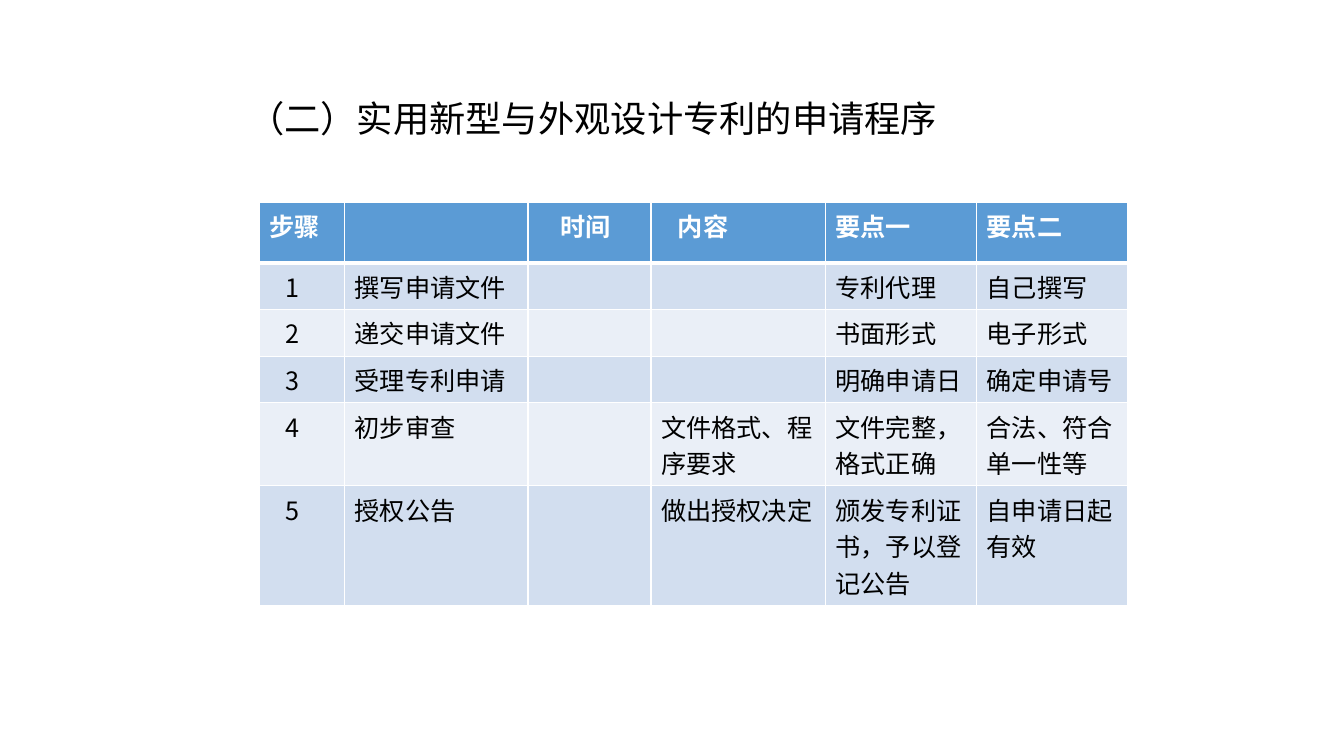
import pptx
import pptx.util
import pptx.dml.color
import pptx.enum.text
import pptx.oxml
import pptx.oxml.ns
from lxml import etree

Pt = pptx.util.Pt

# Content
TITLE = "（二）实用新型与外观设计专利的申请程序"
HEADER = ["步骤", "", "时间", "内容", "要点一", "要点二"]
STEPS = [
    ["1", "撰写申请文件", "", "", "专利代理", "自己撰写"],
    ["2", "递交申请文件", "", "", "书面形式", "电子形式"],
    ["3", "受理专利申请", "", "", "明确申请日", "确定申请号"],
    ["4", "初步审查", "", "文件格式、程序要求", "文件完整，格式正确", "合法、符合单一性等"],
    ["5", "授权公告", "", "做出授权决定", "颁发专利证书，予以登记公告", "自申请日起有效"],
]

# Layout and style, lengths in points
COLUMN_WIDTHS = [61.2, 131, 87.8, 124.6, 108, 108]
ROW_HEIGHTS = [43.2, 28.8, 32.4, 28.8, 50.4, 72]
HEADER_INDENTS = [0, 0, 16, 12, 0, 0]
STEP_INDENTS = [12, 0, 0, 0, 0, 0]
CELL_MARGIN = 7.2
FONT = "Noto Sans CJK SC"
HEADER_FILL = "5B9BD5"
BAND_FILLS = ["D2DEEF", "EAEFF7"]
WHITE, BLACK = "FFFFFF", "000000"


def rgb(value):
    return pptx.dml.color.RGBColor.from_string(value)


def add_span(para, text, size, colour, bold=False):
    span = para.add_run()
    span.text = text
    span.font.size = Pt(size)
    span.font.bold = bold
    span.font.color.rgb = rgb(colour)
    span.font.name = FONT
    east_asian = etree.SubElement(span.font._element, pptx.oxml.ns.qn("a:ea"))
    east_asian.set("typeface", FONT)


def set_borders(cell, bottom_width, top_width):
    properties = cell._tc.get_or_add_tcPr()
    widths = [("lnL", 1), ("lnR", 1), ("lnT", top_width), ("lnB", bottom_width)]
    for position, (side, width) in enumerate(widths):
        line = pptx.oxml.parse_xml(
            f'<a:{side} {pptx.oxml.ns.nsdecls("a")} w="{Pt(width)}">'
            f'<a:solidFill><a:srgbClr val="{WHITE}"/></a:solidFill></a:{side}>')
        properties.insert(position, line)


deck = pptx.Presentation()
deck.slide_width, deck.slide_height = Pt(960), Pt(540)
page = deck.slides.add_slide(deck.slide_layouts[5])

# Title
title = page.shapes.title
title.left, title.top, title.width, title.height = Pt(170), Pt(65), Pt(636), Pt(39)
frame = title.text_frame
frame.auto_size = pptx.enum.text.MSO_AUTO_SIZE.NONE
frame.vertical_anchor = pptx.enum.text.MSO_ANCHOR.MIDDLE
frame.paragraphs[0].alignment = pptx.enum.text.PP_ALIGN.LEFT
add_span(frame.paragraphs[0], TITLE, 25.9, BLACK)

# Table of steps
rows = [HEADER] + STEPS
table = page.shapes.add_table(
    len(rows), len(HEADER), Pt(185), Pt(144.7),
    Pt(sum(COLUMN_WIDTHS)), Pt(sum(ROW_HEIGHTS))).table
for column, width in zip(table.columns, COLUMN_WIDTHS):
    column.width = Pt(width)
for row, height in zip(table.rows, ROW_HEIGHTS):
    row.height = Pt(height)

for row_index, texts in enumerate(rows):
    is_header = row_index == 0
    fill = HEADER_FILL if is_header else BAND_FILLS[(row_index - 1) % 2]
    indents = HEADER_INDENTS if is_header else STEP_INDENTS
    for column_index, text in enumerate(texts):
        cell = table.cell(row_index, column_index)
        cell.fill.solid()
        cell.fill.fore_color.rgb = rgb(fill)
        cell.margin_left = Pt(CELL_MARGIN + indents[column_index])
        set_borders(cell, 3 if is_header else 1, 3 if row_index == 1 else 1)
        if text:
            add_span(cell.text_frame.paragraphs[0], text, 18,
                     WHITE if is_header else BLACK, is_header)

deck.save("out.pptx")
